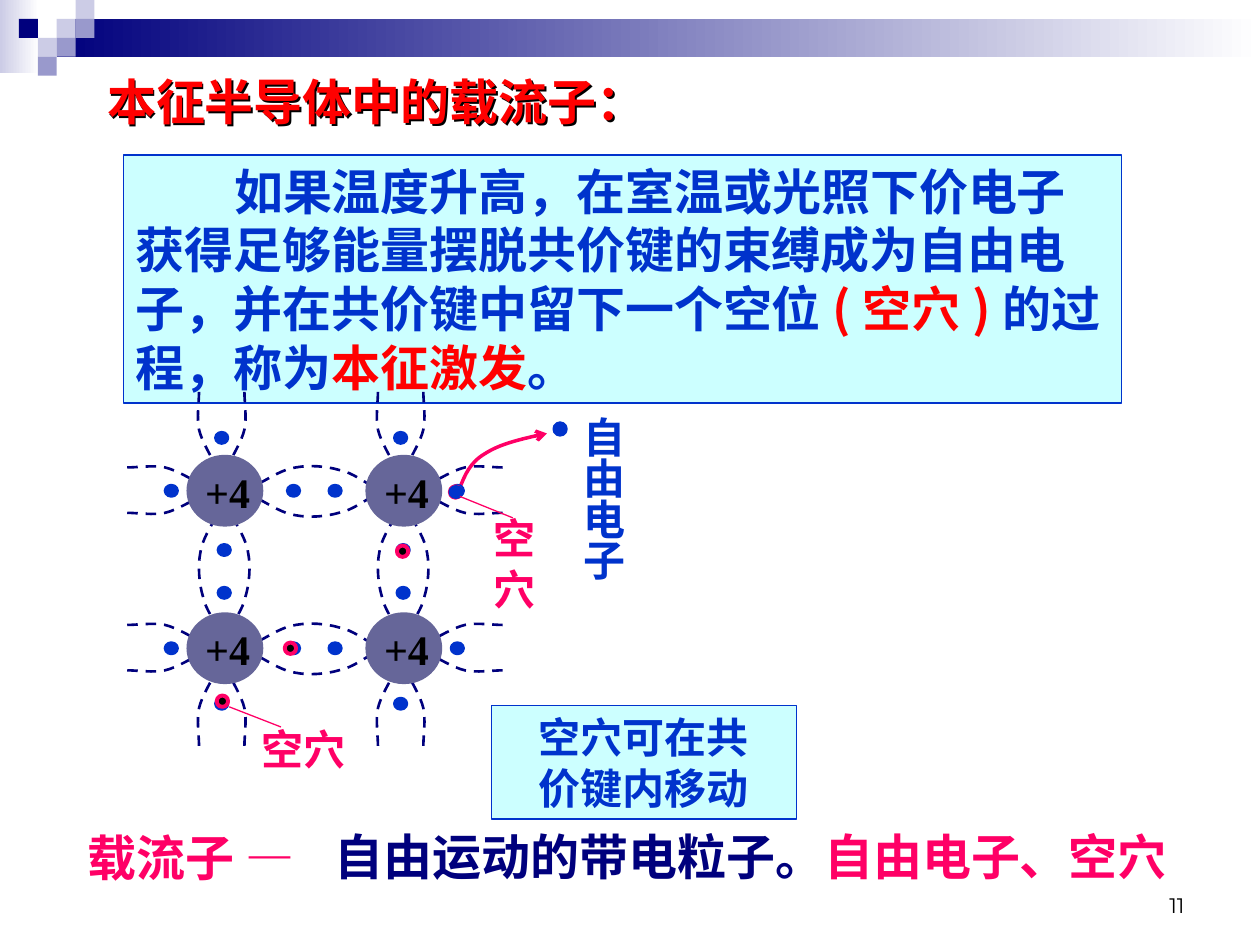
"""Build the slide on charge carriers in an intrinsic semiconductor."""
from lxml import etree
from pptx import Presentation
from pptx.dml.color import RGBColor
from pptx.enum import dml, shapes, text
from pptx.oxml import ns
from pptx.util import Inches, Pt

BLUE = RGBColor(0x00, 0x33, 0xCC)
NAVY = RGBColor(0x00, 0x00, 0x7D)
RED = RGBColor(0xFF, 0x00, 0x00)
PINK = RGBColor(0xFF, 0x00, 0x66)
CYAN = RGBColor(0xCC, 0xFF, 0xFF)
GREY = RGBColor(0x66, 0x66, 0x99)
PALE = RGBColor(0xCC, 0xCC, 0xE6)
LILAC = RGBColor(0x99, 0x99, 0xCC)
BLACK = RGBColor(0x00, 0x00, 0x00)
WHITE = RGBColor(0xFF, 0xFF, 0xFF)
SANS = "Noto Sans CJK SC"
SERIF = "Times New Roman"
RECT = shapes.MSO_SHAPE.RECTANGLE
OVAL = shapes.MSO_SHAPE.OVAL

deck = Presentation()
deck.slide_width, deck.slide_height = Inches(10), Inches(7.5)
slide = deck.slides.add_slide(deck.slide_layouts[5])
tree = slide.shapes


def paint(kind, x, y, w, h, fill, edge=None, width=1.5):
    shape = tree.add_shape(kind, Inches(x), Inches(y), Inches(w), Inches(h))
    shape.shadow.inherit = False
    if isinstance(fill, RGBColor):
        shape.fill.solid()
        shape.fill.fore_color.rgb = fill
    else:
        shape.fill.gradient()
        shape.fill.gradient_angle = 0
        for stop, tint, spot in zip(shape.fill.gradient_stops, fill, (0, 1)):
            stop.color.rgb, stop.position = tint, spot
    if edge is None:
        shape.line.fill.background()
    else:
        shape.line.color.rgb = edge
        shape.line.width = Pt(width)
    return shape


def write(paras, at=None, shape=None, size=24, font=SANS, color=BLUE, bold=True,
          align="LEFT", anchor="TOP", before=0, lead=None, indent=0, wrap=True):
    if shape is None:
        shape = tree.add_textbox(*map(Inches, at))
    frame = shape.text_frame
    frame.word_wrap = wrap
    frame.auto_size = text.MSO_AUTO_SIZE.NONE
    frame.vertical_anchor = getattr(text.MSO_ANCHOR, anchor)
    for n, runs in enumerate(paras):
        para = frame.add_paragraph() if n else frame.paragraphs[0]
        para.alignment = getattr(text.PP_ALIGN, align)
        para.space_before = Pt(before if n else 0)
        if lead:
            para.line_spacing = lead
        if indent:
            para._p.get_or_add_pPr().set("indent", str(Inches(indent)))
        for words, *style in [(runs,)] if isinstance(runs, str) else runs:
            run = para.add_run()
            run.text = words
            run.font.size, run.font.bold = Pt(size), bold
            run.font.color.rgb = style[0] if style else color
            run.font.name = style[1] if len(style) > 1 else font
            east = etree.SubElement(run._r.rPr, ns.qn("a:ea"))
            east.set("typeface", SANS)


paint(RECT, 0, 0, 0.31, 0.58, (PALE, WHITE))
paint(RECT, 0.45, 0.15, 9.55, 0.3, (NAVY, WHITE))
for col, row, tint in [(3, 1, PALE), (4, 0, PALE), (4, 1, LILAC), (2, 2, PALE),
                       (1, 1, NAVY), (3, 2, LILAC), (2, 3, LILAC)]:
    paint(RECT, col * 0.15, row * 0.15, 0.15, 0.15, tint)

title = tree.title
title.left, title.top, title.width, title.height = map(Inches, (0.75, 0.52, 5.23, 0.57))
write(["本征半导体中的载流子："], shape=title, size=28, font=SERIF, color=RED)
glow = etree.SubElement(title._element.spPr, ns.qn("a:effectLst"))
cast = etree.SubElement(glow, ns.qn("a:outerShdw"), dist="17961", dir="2700000")
etree.SubElement(cast, ns.qn("a:srgbClr"), val="000000")

write([[("如果温度升高，在室温或光照下价电子获得足够能量摆脱共价键的束缚成为自由电子，并在共价键中留下一个空位",),
        ("(空穴)", RED, SANS), ("的过程，称为",), ("本征激发", RED, SANS), ("。",)]],
      shape=paint(RECT, 0.98, 1.23, 7.92, 1.97, CYAN, BLUE, 0.75),
      size=28, font=SERIF, indent=0.78)

cols, rows = (1.79, 3.21), (3.89, 5.14)
stub = [(0.78, 0.18), (0.7, 0.18), (0.57, 0.2), (0.48, 0.18),
        (0.39, 0.16), (0.26, 0.08), (0.2, 0.05)]
bond = [(1.11, 0.04), (1.06, 0.06), (0.95, 0.15), (0.84, 0.17), (0.74, 0.2),
        (0.6, 0.21), (0.5, 0.19), (0.4, 0.18), (0.28, 0.1), (0.22, 0.07)]
curves = []
for side in (-1, 1):
    for x in cols:
        curves.append([(x - 0.01 + side * b, rows[0] + a) for a, b in bond])
        for y, way in zip(rows, (-1, 1)):
            curves.append([(x - 0.03 + side * b, y + way * a) for a, b in stub])
    for y in rows:
        curves.append([(cols[0] + 0.06 + a, y + 0.01 + side * b) for a, b in bond])
        for x, way in zip(cols, (-1, 1)):
            curves.append([(x + way * a, y + side * b) for a, b in stub])
jump = [(3.65, 3.87), (3.69, 3.77), (3.73, 3.67), (3.85, 3.6),
        (3.96, 3.53), (4.15, 3.48), (4.34, 3.44)]
for curve in curves + [jump]:
    spots = [(Inches(x), Inches(y)) for x, y in curve]
    pen = tree.build_freeform(*spots[0])
    pen.add_line_segments(spots[1:], close=False)
    arc = pen.convert_to_shape()
    legs = list(arc._element.iter(ns.qn("a:lnTo")))
    for k in range(0, len(legs), 3):
        bend = etree.Element(ns.qn("a:cubicBezTo"))
        legs[k].addprevious(bend)
        for leg in legs[k:k + 3]:
            bend.append(leg[0])
            leg.getparent().remove(leg)
    arc.shadow.inherit = False
    arc.fill.background()
    arc.line.color.rgb = PINK if curve is jump else NAVY
    arc.line.width = Pt(2 if curve is jump else 1.5)
    if curve is jump:
        etree.SubElement(arc.line._ln, ns.qn("a:tailEnd"), type="arrow")
    else:
        arc.line.dash_style = dml.MSO_LINE.DASH

for x in cols:
    for y in (3.43, 4.32, 4.66, 5.54):
        paint(OVAL, x - (0.06 if 4 < y < 5 else 0.08), y, 0.1, 0.09, BLUE, BLUE)
for y in rows:
    for x in (1.31, 2.28, 2.61, 3.58):
        paint(OVAL, x, y - 0.04, 0.1, 0.09, BLUE, BLUE)
for x in cols:
    for y in rows:
        paint(OVAL, x - 0.31, y - 0.28, 0.61, 0.57, GREY)
        write(["+4"], at=(x - 0.26, y - 0.24, 0.83, 0.5), font=SERIF, color=BLACK)

for x, y in [(3.57, 3.86), (3.15, 4.33), (2.26, 5.1), (1.72, 5.52)]:
    paint(OVAL, x, y, 0.09, 0.09, BLACK, PINK, 2.25)
paint(OVAL, 4.4, 3.36, 0.09, 0.09, BLUE, BLUE, 2.25)
paint(OVAL, 3.57, 3.86, 0.1, 0.09, BLUE, BLUE)
for ends in [(3.65, 3.94, 4.07, 4.11), (1.82, 5.61, 2.23, 5.77)]:
    lead = tree.add_connector(shapes.MSO_CONNECTOR.STRAIGHT, *map(Inches, ends))
    lead.line.color.rgb = PINK
    lead.line.width = Pt(0.75)
    etree.SubElement(lead._element.spPr, ns.qn("a:effectLst"))

write("自由电子", at=(4.53, 3.36, 0.67, 1.31), before=6, lead=0.6)
write("空穴", at=(3.82, 4.02, 0.53, 0.9), color=PINK, wrap=False)
write(["空穴"], at=(1.98, 5.69, 1, 0.5), color=PINK)
write(["空穴可在共", "价键内移动"], align="CENTER",
      shape=paint(RECT, 3.9, 5.6, 2.42, 0.9, CYAN, BLUE, 0.75))
write([[("载流子 ",), ("—", PINK, SERIF)]], at=(0.6, 6.52, 2.33, 0.57), size=28, color=PINK)
write([[("自由运动的带电粒子。",), ("自由电子、空穴", PINK)]],
      at=(2.56, 6.51, 6.95, 0.57), size=28, color=NAVY)
write(["11"], at=(7.17, 6.83, 2.33, 0.5), size=12, font="Montserrat", color=BLACK,
      bold=False, align="RIGHT", anchor="BOTTOM")

deck.save("out.pptx")
